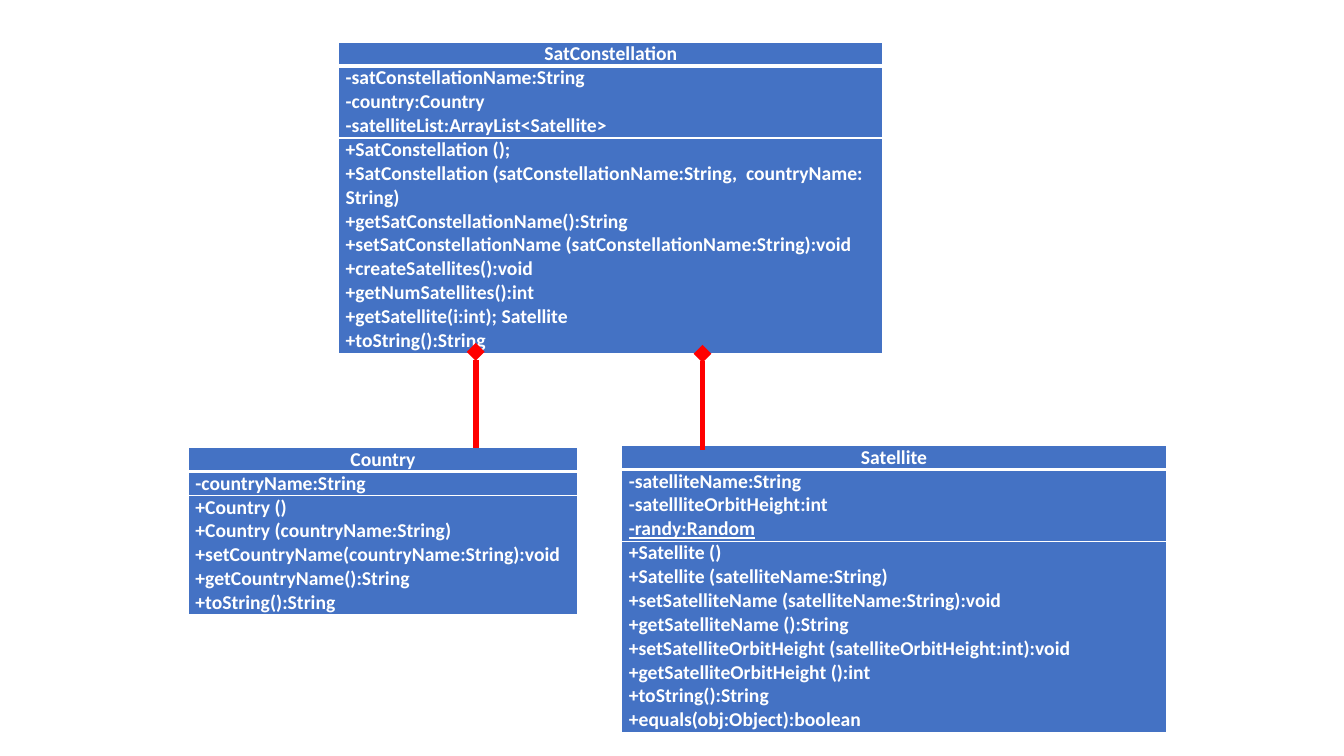
from lxml.etree import SubElement
from pptx import Presentation
from pptx.dml.color import RGBColor
from pptx.enum.shapes import MSO_CONNECTOR
from pptx.enum.text import PP_ALIGN
from pptx.oxml.ns import qn
from pptx.util import Pt

COLORS = {"box": "4472C4", "text": "FFFFFF", "rule": "FFFFFF", "link": "FF0000"}


class Diagram:
    font = "Calibri"
    size = 14
    pitch = 17.09  # height of one text line

    def __init__(self, slide):
        self.slide = slide

    def color(self, name):
        return RGBColor.from_string(COLORS[name])

    def border(self, cell, side, width):
        props = cell._tc.get_or_add_tcPr()
        line = SubElement(props, qn("a:ln" + side), w=str(Pt(width)))
        fill = SubElement(line, qn("a:solidFill"))
        SubElement(fill, qn("a:srgbClr"), val=COLORS["rule"])

    def label(self, cell, lines, align, static):
        frame = cell.text_frame
        for i, text in enumerate(lines):
            para = frame.add_paragraph() if i else frame.paragraphs[0]
            para.alignment = align
            run = para.add_run()
            run.text = text
            font = run.font
            font.name, font.size, font.bold = self.font, Pt(self.size), True
            font.color.rgb = self.color("text")
            if text in static:
                font.underline = True

    def uml(self, left, top, width, name, fields, methods, wraps=0, static=()):
        """Class box: name, fields and methods; wraps counts extra text lines."""
        parts = [[name], fields, methods]
        counts = [1, len(fields), len(methods) + wraps]
        frame = self.slide.shapes.add_table(
            3, 1, Pt(left), Pt(top), Pt(width), Pt(self.pitch * sum(counts)))
        table = frame.table
        table.horz_banding = False
        table.columns[0].width = Pt(width)
        for i, (lines, count) in enumerate(zip(parts, counts)):
            table.rows[i].height = Pt(self.pitch * count)
            cell = table.cell(i, 0)
            cell.margin_left = cell.margin_right = Pt(5)
            cell.margin_top = cell.margin_bottom = 0
            # Thick rule between the name and the fields
            widths = {"L": 1, "R": 1, "T": 3 if i == 1 else 1, "B": 3 if i == 0 else 1}
            for side, rule in widths.items():
                self.border(cell, side, rule)
            cell.fill.solid()
            cell.fill.fore_color.rgb = self.color("box")
            align = PP_ALIGN.LEFT if i else PP_ALIGN.CENTER
            self.label(cell, lines, align, static)

    def link(self, x, start, end):
        """Vertical composition line with a diamond at its end."""
        line = self.slide.shapes.add_connector(
            MSO_CONNECTOR.STRAIGHT, Pt(x), Pt(start), Pt(x), Pt(end))
        line.line.color.rgb = self.color("link")
        line.line.width = Pt(4.25)
        props = line._element.spPr
        SubElement(props.find(qn("a:ln")), qn("a:tailEnd"), type="diamond")
        SubElement(props, qn("a:effectLst"))


def main():
    deck = Presentation()
    deck.slide_width, deck.slide_height = Pt(960), Pt(540)
    art = Diagram(deck.slides.add_slide(deck.slide_layouts[6]))

    # Whole class
    art.uml(241.9, 30.2, 388.8, "SatConstellation", [
        "-satConstellationName:String",
        "-country:Country",
        "-satelliteList:ArrayList<Satellite>",
    ], [
        "+SatConstellation ();",
        "+SatConstellation (satConstellationName:String,  countryName: String)",
        "+getSatConstellationName():String",
        "+setSatConstellationName (satConstellationName:String):void",
        "+createSatellites():void",
        "+getNumSatellites():int",
        "+getSatellite(i:int); Satellite",
        "+toString():String",
    ], wraps=1)

    # Part classes
    art.uml(134.6, 319.7, 277.9, "Country", ["-countryName:String"], [
        "+Country ()",
        "+Country (countryName:String)",
        "+setCountryName(countryName:String):void",
        "+getCountryName():String",
        "+toString():String",
    ])
    art.uml(444.2, 318.2, 388.8, "Satellite", [
        "-satelliteName:String",
        "-satellliteOrbitHeight:int",
        "-randy:Random",
    ], [
        "+Satellite ()",
        "+Satellite (satelliteName:String)",
        "+setSatelliteName (satelliteName:String):void",
        "+getSatelliteName ():String",
        "+setSatelliteOrbitHeight (satelliteOrbitHeight:int):void",
        "+getSatelliteOrbitHeight ():int",
        "+toString():String",
        "+equals(obj:Object):boolean",
    ], static=["-randy:Random"])

    # Composition links
    art.link(339.8, 319.7, 251.3)
    art.link(501.8, 321.1, 252.7)

    deck.save("out.pptx")


if __name__ == "__main__":
    main()
